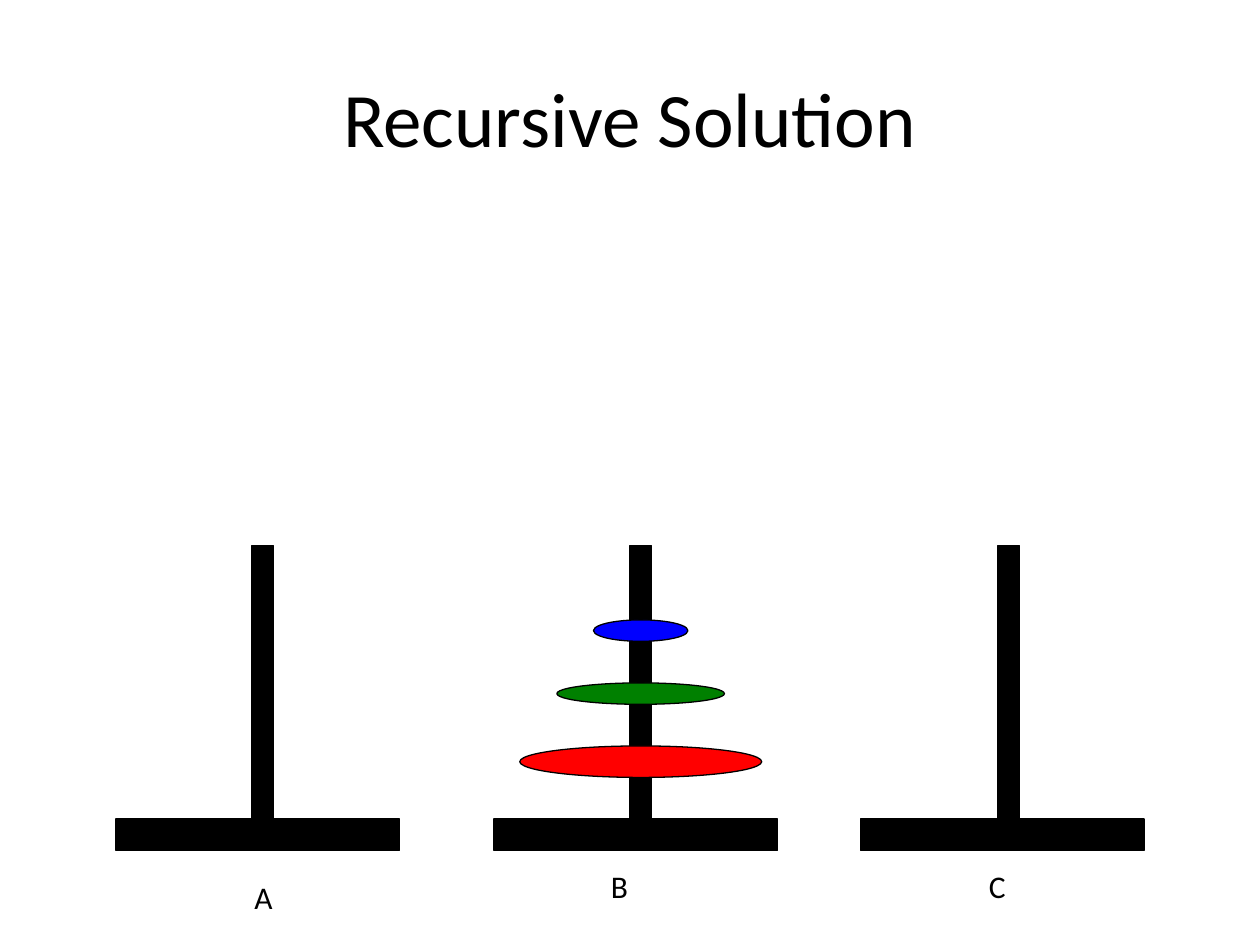
from pptx import Presentation
from pptx.dml.color import RGBColor
from pptx.enum.shapes import MSO_SHAPE
from pptx.enum.text import MSO_ANCHOR, PP_ALIGN
from pptx.util import Inches, Pt

COLORS = {"black": "000000", "red": "FF0000", "green": "008000", "blue": "0000FF"}
FONT = "Calibri"

TITLE = "Recursive Solution"
# label, base left, pole left, label left, label top
PEGS = [
    ("A", 0.92, 2.0, 1.92, 6.92),
    ("B", 3.92, 5.0, 4.75, 6.83),
    ("C", 6.83, 7.92, 7.75, 6.83),
]
# color, width, height, top
DISKS = [
    ("red", 1.92, 0.25, 5.92),
    ("green", 1.33, 0.17, 5.42),
    ("blue", 0.75, 0.17, 4.92),
]
BASE_TOP, BASE_W, BASE_H = 6.5, 2.25, 0.25
POLE_W, POLE_H = 0.17, 2.17
DISK_CENTER = PEGS[1][2] + POLE_W / 2

prs = Presentation()
prs.slide_width, prs.slide_height = Inches(10), Inches(7.5)
s = prs.slides.add_slide(prs.slide_layouts[6])


def add_text(text, x, y, w, h, size=18, align=PP_ALIGN.LEFT, anchor=MSO_ANCHOR.TOP):
    sp = s.shapes.add_textbox(Inches(x), Inches(y), Inches(w), Inches(h))
    tf = sp.text_frame
    tf.word_wrap = True
    tf.vertical_anchor = anchor
    p = tf.paragraphs[0]
    p.alignment = align
    r = p.add_run()
    r.text = text
    r.font.name, r.font.size = FONT, Pt(size)
    r.font.color.rgb = RGBColor.from_string(COLORS["black"])


def add_solid(shapes, kind, color, x, y, w, h):
    sp = shapes.add_shape(kind, Inches(x), Inches(y), Inches(w), Inches(h))
    sp.shadow.inherit = False
    sp.fill.solid()
    sp.fill.fore_color.rgb = RGBColor.from_string(COLORS[color])
    sp.line.color.rgb = RGBColor.from_string(COLORS["black"])
    sp.line.width = Pt(0.75)


# Title
add_text(TITLE, 0.5, 0.3, 9, 1.25, size=44, align=PP_ALIGN.CENTER, anchor=MSO_ANCHOR.MIDDLE)

# Pegs: a base and a pole in one group
for _, base_x, pole_x, _, _ in PEGS:
    peg = s.shapes.add_group_shape()
    add_solid(peg.shapes, MSO_SHAPE.RECTANGLE, "black", base_x, BASE_TOP, BASE_W, BASE_H)
    add_solid(peg.shapes, MSO_SHAPE.RECTANGLE, "black", pole_x, BASE_TOP - POLE_H, POLE_W, POLE_H)

# Disks centred on peg B
for color, w, h, top in DISKS:
    add_solid(s.shapes, MSO_SHAPE.OVAL, color, DISK_CENTER - w / 2, top, w, h)

# Peg labels
for label, _, _, x, y in PEGS:
    add_text(label, x, y, 1, 0.4)

prs.save("out.pptx")
